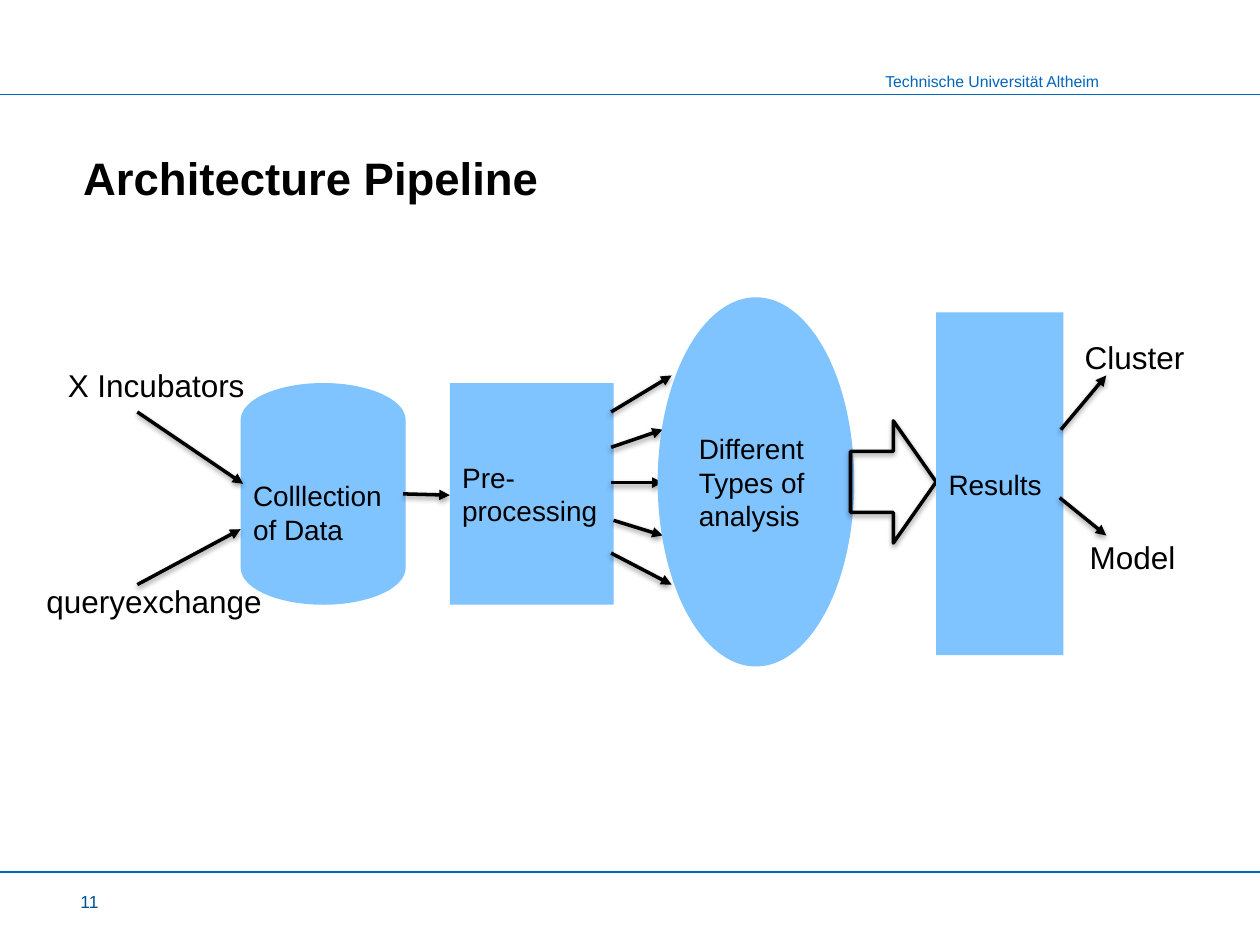
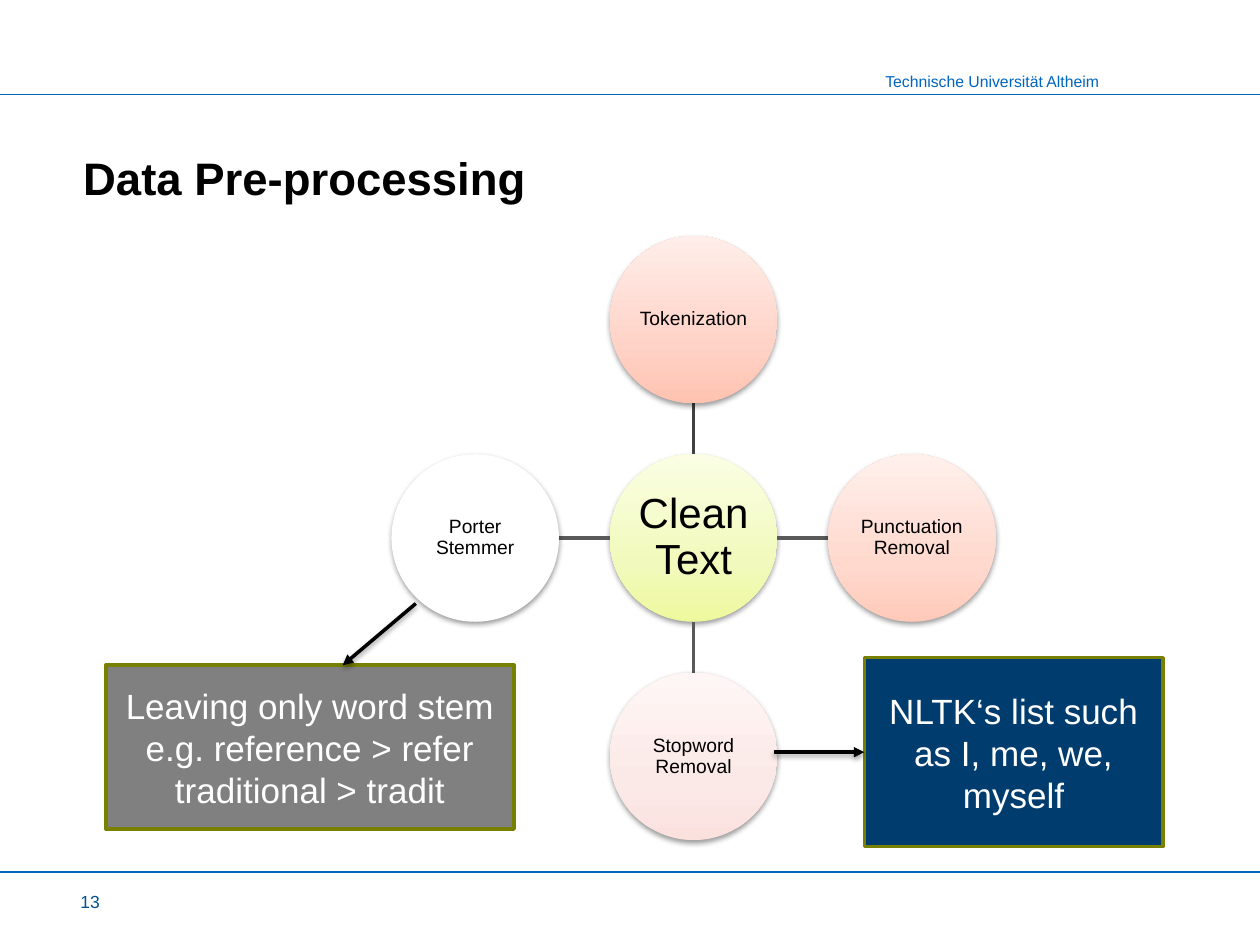
import copy

import pptx
import pptx.dml.color
import pptx.enum.shapes
import pptx.enum.text
import pptx.oxml
import pptx.oxml.ns
import pptx.oxml.xmlchemy
import pptx.util

RGB = pptx.dml.color.RGBColor
KIND = pptx.enum.shapes.MSO_SHAPE
ALIGN = pptx.enum.text.PP_ALIGN
ANCHOR = pptx.enum.text.MSO_ANCHOR

BLACK = RGB(0x00, 0x00, 0x00)
WHITE = RGB(0xFF, 0xFF, 0xFF)
BLUE = RGB(0x00, 0x65, 0xBD)
NUMBER = RGB(0x00, 0x52, 0x93)
SKY = RGB(0x7F, 0xC3, 0xFF)
NAVY = RGB(0x00, 0x3D, 0x6E)
GREY = RGB(0x80, 0x80, 0x80)
OLIVE = RGB(0x78, 0x80, 0x00)
DARK = RGB(0x40, 0x40, 0x40)
SLATE = RGB(0x59, 0x59, 0x59)
LIME = [RGB(0xEE, 0xF9, 0x9E), RGB(0xF1, 0xFA, 0xBC), RGB(0xFB, 0xFE, 0xE4)]
CORAL = [RGB(0xFF, 0xC2, 0xB0), RGB(0xFF, 0xD3, 0xC7), RGB(0xFF, 0xEE, 0xEA)]
PEACH = [RGB(0xFF, 0xCA, 0xBA), RGB(0xFF, 0xD9, 0xCE), RGB(0xFF, 0xF0, 0xEC)]
BLUSH = [RGB(0xFA, 0xE1, 0xDD), RGB(0xFB, 0xE9, 0xE7), RGB(0xFE, 0xF6, 0xF5)]

COLS, ROWS = 100, 75
SHADE = (
    '<a:outerShdw %s blurRad="39370" dist="20320" dir="5400000" rotWithShape="0">'
    '<a:srgbClr val="000000"><a:alpha val="38000"/></a:srgbClr></a:outerShdw>'
    % pptx.oxml.ns.nsdecls("a")
)


class Deck:
    font = "Arial"

    def __init__(self):
        self.file = pptx.Presentation()
        self.file.slide_width = pptx.util.Inches(10)
        self.file.slide_height = pptx.util.Inches(7.5)
        self.slide = None

    def x(self, col):
        return round(self.file.slide_width * col / COLS)

    def y(self, row):
        return round(self.file.slide_height * row / ROWS)

    def box(self, left, top, width, height):
        return self.x(left), self.y(top), self.x(width), self.y(height)

    def page(self, title, number):
        self.slide = self.file.slides.add_slide(self.file.slide_layouts[5])
        for row in (7.5, 69.2):
            self.line((0, row), (COLS, row), BLUE, 0.75)
        self.text("Technische Universität Altheim", (64, 5.2, 24.2, 2.5), 9, BLUE, ALIGN.RIGHT)
        self.text(str(number), (5.4, 70.2, 4.8, 2.7), 10, NUMBER)
        head = self.slide.shapes.title
        head.left, head.top, head.width, head.height = self.box(5.6, 10, 88.9, 6.7)
        self.label(head, title, 26, BLACK, ALIGN.LEFT, ANCHOR.BOTTOM, bold=True)

    def label(self, shape, words, size, color, align, anchor, bold=False):
        frame = shape.text_frame
        frame.text = words
        frame.word_wrap = True
        frame.auto_size = pptx.enum.text.MSO_AUTO_SIZE.NONE
        frame.vertical_anchor = anchor
        for para in frame.paragraphs:
            para.alignment = align
            for run in para.runs:
                run.font.name = self.font
                run.font.size = pptx.util.Pt(size)
                run.font.bold = bold
                run.font.color.rgb = color

    def text(self, words, place, size=18, color=BLACK, align=ALIGN.LEFT):
        shape = self.slide.shapes.add_textbox(*self.box(*place))
        self.label(shape, words, size, color, align, ANCHOR.TOP)

    def effect(self, shape, shade):
        props = shape.element.spPr
        glow = props.find(pptx.oxml.ns.qn("a:effectLst"))
        if glow is None:
            glow = pptx.oxml.xmlchemy.OxmlElement("a:effectLst")
            props.append(glow)
        if shade:
            glow.append(pptx.oxml.parse_xml(SHADE))

    def line(self, start, end, color=BLACK, width=2, arrow=False):
        link = self.slide.shapes.add_connector(
            pptx.enum.shapes.MSO_CONNECTOR.STRAIGHT,
            self.x(start[0]), self.y(start[1]), self.x(end[0]), self.y(end[1]))
        link.line.color.rgb = color
        link.line.width = pptx.util.Pt(width)
        if arrow:
            tip = pptx.oxml.xmlchemy.OxmlElement("a:tailEnd")
            tip.set("type", "triangle")
            link.element.spPr.find(pptx.oxml.ns.qn("a:ln")).append(tip)
        self.effect(link, arrow)

    def arrow(self, start, end):
        self.line(start, end, arrow=True)

    def shape(self, kind, place, fill=None, edge=None, shade=False):
        shape = self.slide.shapes.add_shape(kind, *self.box(*place))
        shape.shadow.inherit = False
        if fill is None:
            shape.fill.background()
        elif isinstance(fill, list):
            self.blend(shape, fill)
        else:
            shape.fill.solid()
            shape.fill.fore_color.rgb = fill
        if edge is None:
            shape.line.fill.background()
        else:
            shape.line.color.rgb = edge
            shape.line.width = pptx.util.Pt(2)
        self.effect(shape, shade)
        return shape

    def blend(self, shape, tones):
        shape.fill.gradient()
        shape.fill.gradient_angle = 90
        stops = shape.element.spPr.find(".//" + pptx.oxml.ns.qn("a:gsLst"))
        stops.insert(1, copy.deepcopy(stops[0]))
        for stop, tone, spot in zip(shape.fill.gradient_stops, tones, (0, 0.35, 1)):
            stop.color.rgb = tone
            stop.position = spot

    def stage(self, kind, words, place):
        shape = self.shape(kind, place, SKY)
        self.label(shape, words, 16, BLACK, ALIGN.LEFT, ANCHOR.MIDDLE)

    def note(self, words, place, fill):
        shape = self.shape(KIND.RECTANGLE, place, fill, OLIVE)
        self.label(shape, words, 20, WHITE, ALIGN.CENTER, ANCHOR.MIDDLE)

    def disc(self, words, mid, side, fill, size=11):
        place = (mid[0] - side / 2, mid[1] - side / 2, side, side)
        shape = self.shape(KIND.OVAL, place, fill, shade=True)
        self.label(shape, words, size, BLACK, ALIGN.CENTER, ANCHOR.MIDDLE)
        frame = shape.text_frame
        frame.margin_left = frame.margin_right = pptx.util.Inches(0.01)
        frame.margin_top = frame.margin_bottom = pptx.util.Inches(0.01)
        frame.paragraphs[0].line_spacing = 0.9


def flow(deck):
    deck.page("Architecture Pipeline", 11)
    deck.stage(KIND.FLOWCHART_MAGNETIC_DISK, "Colllection of Data", (19.1, 30.4, 13.1, 17.6))
    deck.arrow((10.9, 32.7), (19.3, 38.4))
    deck.arrow((10.9, 46.4), (19.1, 42))
    deck.text("X Incubators", (1.4, 28.6, 19, 4), align=ALIGN.RIGHT)
    deck.text("queryexchange", (2.7, 45.7, 21, 4))
    deck.arrow((32, 39.2), (35.7, 39.3))
    deck.stage(KIND.RECTANGLE, "Pre-processing", (35.7, 30.4, 13, 17.6))
    fan = [(48.5, 32.7, 53.3, 29.8), (48.5, 35.5, 52.6, 34.1), (48.5, 38.3, 52.6, 38.3),
           (48.7, 41.3, 52.6, 42.5), (48.5, 43.9, 53.3, 46.4)]
    for ray in fan:
        deck.arrow(ray[:2], ray[2:])
    deck.stage(KIND.OVAL, "Different Types of analysis", (52.2, 23.6, 15.6, 29.3))
    deck.shape(KIND.RIGHT_ARROW, (67.5, 33.4, 6.8, 9.7), edge=BLACK, shade=True)
    deck.stage(KIND.RECTANGLE, "Results", (74.3, 24.8, 10.1, 27.2))
    deck.arrow((84.2, 34.1), (87.8, 29.8))
    deck.arrow((84.1, 39.5), (87.8, 42.5))
    deck.text("Cluster", (85.1, 26.3, 11.9, 4))
    deck.text("Model", (85.5, 42.2, 11.9, 4))


def wheel(deck):
    deck.page("Data Pre-processing", 13)
    hub, side, step = (55.05, 42.7), 13.3, 17.33
    near, far = side / 2, step - side / 2
    deck.disc("Clean Text", hub, side, LIME, 24)
    spokes = [("Tokenization", 0, -1, CORAL, DARK),
              ("Punctuation Removal", 1, 0, PEACH, SLATE),
              ("Stopword Removal", 0, 1, BLUSH, SLATE),
              ("Porter Stemmer", -1, 0, WHITE, SLATE)]
    for words, across, down, fill, tone in spokes:
        ends = [(hub[0] + across * gap, hub[1] + down * gap) for gap in (near, far, step)]
        deck.line(ends[0], ends[1], tone)
        deck.disc(words, ends[2], side, fill)
    deck.note("NLTK‘s list such as I, me, we, myself", (68.6, 52.2, 23.7, 15), NAVY)
    deck.note("Leaving only word stem e.g. reference > refer\ntraditional > tradit",
              (8.4, 52.8, 32.4, 13), GREY)
    deck.arrow((33, 47.9), (27.2, 52.8))
    deck.arrow((61.4, 59.7), (68.6, 59.7))


def main():
    deck = Deck()
    flow(deck)
    wheel(deck)
    deck.file.save("out.pptx")


if __name__ == "__main__":
    main()
